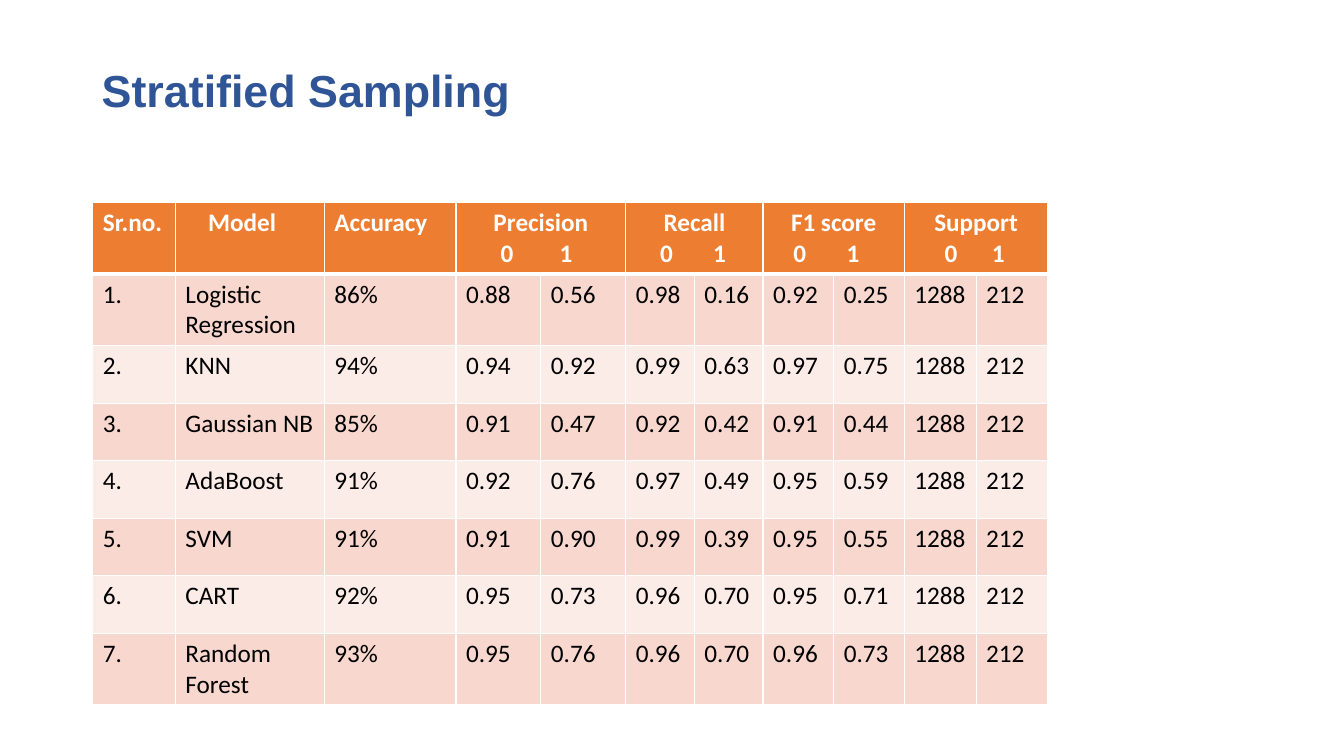
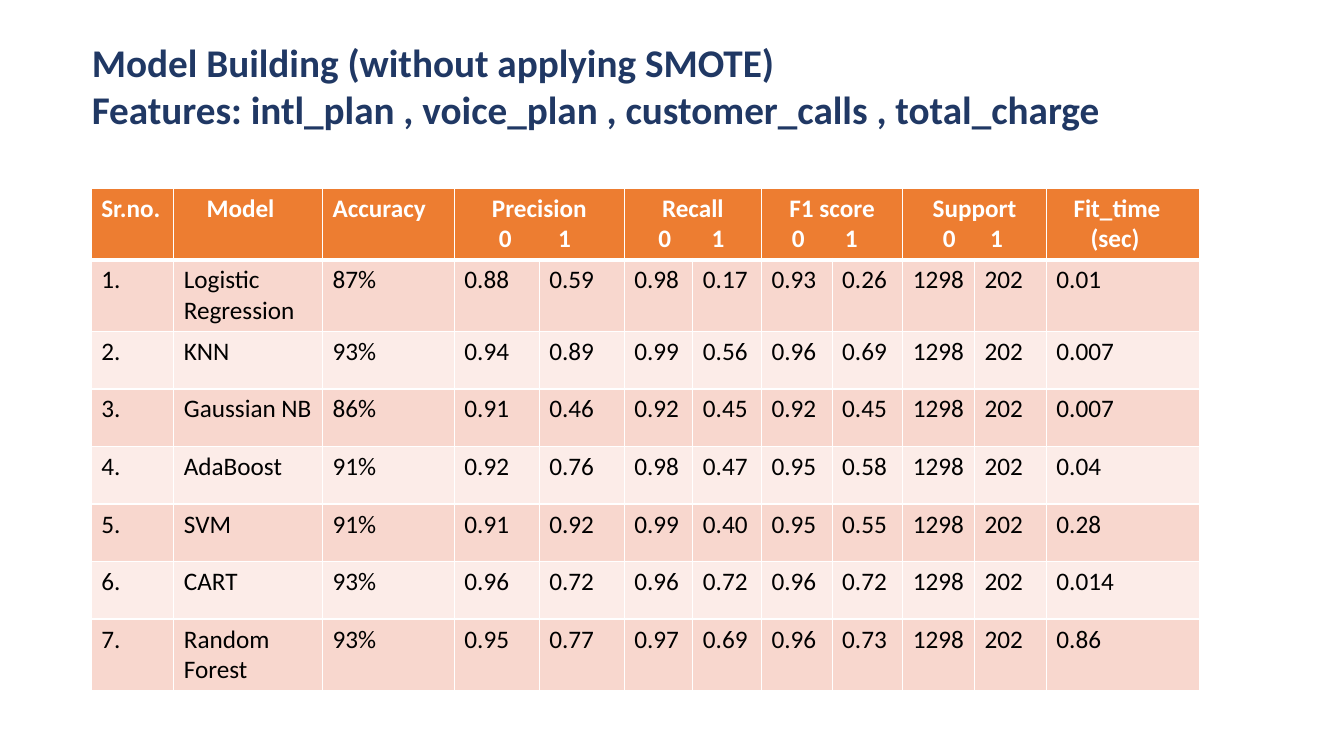
from lxml.etree import SubElement
from pptx import Presentation
from pptx.dml.color import RGBColor
from pptx.enum.text import MSO_ANCHOR, MSO_AUTO_SIZE, PP_ALIGN
from pptx.oxml.ns import qn
from pptx.util import Cm, Pt

COLORS = {
    "header": "ED7D31", "odd": "F8D7CE", "even": "FCECE8",
    "white": "FFFFFF", "black": "000000", "blue": "2F5597", "navy": "203864",
}
HEADER_FONT = {"name": "Calibri", "size": Pt(18), "bold": True}
BODY_FONT = {**HEADER_FONT, "bold": False}
TITLE_FRAME = {
    "word_wrap": True, "auto_size": MSO_AUTO_SIZE.NONE,
    "vertical_anchor": MSO_ANCHOR.TOP,
}

# Single headings: lines with their indents in cm, and the column width in cm.
SINGLE_HEADINGS = [
    ([("Sr.no.", 0)], 2.08),
    ([("Model", 0.57)], 3.75),
    ([("Accuracy", 0)], 3.32),
]
# Class headings: name, width of each class column, tab stops of "0" and "1" in cm.
CLASS_HEADINGS = [
    ("Precision", 2.14, (0.87, 2.36)),
    ("Recall", 1.73, (0.61, 1.95)),
    ("F1 score", 1.78, (0.51, 1.85)),
    ("Support", 1.81, (0.76, 1.95)),
]
FIT_TIME_HEADING = ([("Fit_time", 0.43), ("(sec)", 0.86)], 3.86)

MODELS = ["Logistic Regression", "KNN", "Gaussian NB", "AdaBoost", "SVM",
          "CART", "Random Forest"]

SLIDES = [
    {
        "title": "Stratified Sampling",
        "title_box": (2.31, 1.45, 17.86, 1.63),
        "title_font": {"name": "Arial", "size": Pt(32), "bold": True},
        "title_color": "blue",
        "table_at": (2.34, 5.1),
        "support": ["1288", "212"],
        "fit_times": [],
        "scores": [
            "86% 0.88 0.56 0.98 0.16 0.92 0.25",
            "94% 0.94 0.92 0.99 0.63 0.97 0.75",
            "85% 0.91 0.47 0.92 0.42 0.91 0.44",
            "91% 0.92 0.76 0.97 0.49 0.95 0.59",
            "91% 0.91 0.90 0.99 0.39 0.95 0.55",
            "92% 0.95 0.73 0.96 0.70 0.95 0.71",
            "93% 0.95 0.76 0.96 0.70 0.96 0.73",
        ],
    },
    {
        "title": "Model Building (without applying SMOTE)\n"
                 "Features: intl_plan , voice_plan , customer_calls , total_charge",
        "title_box": (2.06, 0.84, 26.34, 2.64),
        "title_font": {"name": "Calibri", "size": Pt(28), "bold": True},
        "title_color": "navy",
        "table_at": (2.3, 4.74),
        "support": ["1298", "202"],
        "fit_times": ["0.01", "0.007", "0.007", "0.04", "0.28", "0.014", "0.86"],
        "scores": [
            "87% 0.88 0.59 0.98 0.17 0.93 0.26",
            "93% 0.94 0.89 0.99 0.56 0.96 0.69",
            "86% 0.91 0.46 0.92 0.45 0.92 0.45",
            "91% 0.92 0.76 0.98 0.47 0.95 0.58",
            "91% 0.91 0.92 0.99 0.40 0.95 0.55",
            "93% 0.96 0.72 0.96 0.72 0.96 0.72",
            "93% 0.95 0.77 0.97 0.69 0.96 0.73",
        ],
    },
]


def set_all(target, values):
    for name, value in values.items():
        setattr(target, name, value)


def style_text(text_frame, font, color, align=PP_ALIGN.LEFT):
    for paragraph in text_frame.paragraphs:
        paragraph.alignment = align
        set_all(paragraph.font, font)
        paragraph.font.color.rgb = RGBColor.from_string(COLORS[color])


def set_tab_stops(paragraph, stops):
    tabs = SubElement(paragraph._p.get_or_add_pPr(), qn("a:tabLst"))
    # The tab list must come before the default run properties.
    tabs.getparent().insert(0, tabs)
    for stop in stops:
        SubElement(tabs, qn("a:tab"), pos=str(Cm(stop)), algn="l")


def style_cell(cell, fill, top, bottom):
    """Give a cell white borders, with top and bottom widths in points, and a fill."""
    properties = cell._tc.get_or_add_tcPr()
    for side, width in (("L", 1), ("R", 1), ("T", top), ("B", bottom)):
        line = SubElement(properties, qn(f"a:ln{side}"), w=str(Pt(width)))
        solid = SubElement(line, qn("a:solidFill"))
        SubElement(solid, qn("a:srgbClr"), val=COLORS["white"])
    cell.fill.solid()
    cell.fill.fore_color.rgb = RGBColor.from_string(COLORS[fill])


def fill_single_heading(cell, lines):
    cell.text = "\n".join(text for text, _ in lines)
    style_text(cell.text_frame, HEADER_FONT, "white")
    for paragraph, (_, indent) in zip(cell.text_frame.paragraphs, lines):
        paragraph._p.get_or_add_pPr().set("marL", str(Cm(indent)))


def fill_class_heading(cell, neighbour, name, stops):
    cell.merge(neighbour)
    cell.text = f"{name}\n\t0\t1"
    style_text(cell.text_frame, HEADER_FONT, "white", PP_ALIGN.CENTER)
    classes = cell.text_frame.paragraphs[1]
    classes.alignment = PP_ALIGN.LEFT
    set_tab_stops(classes, stops)


def add_title(slide, content):
    title = slide.shapes.title
    box = map(Cm, content["title_box"])
    set_all(title, dict(zip(("left", "top", "width", "height"), box)))
    title.text_frame.text = content["title"]
    set_all(title.text_frame, TITLE_FRAME)
    style_text(title.text_frame, content["title_font"], content["title_color"])


def add_score_table(slide, content):
    rows = [
        [f"{number}.", model, *scores.split(), *content["support"]]
        for number, (model, scores) in enumerate(zip(MODELS, content["scores"]), 1)
    ]
    for row, fit_time in zip(rows, content["fit_times"]):
        row.append(fit_time)

    widths = [width for _, width in SINGLE_HEADINGS]
    widths += [width for _, width, _ in CLASS_HEADINGS for _ in range(2)]
    if content["fit_times"]:
        widths.append(FIT_TIME_HEADING[1])
    heights = [1.5] + [1.45] * len(rows)

    table = slide.shapes.add_table(
        len(heights), len(widths), *map(Cm, content["table_at"]),
        Cm(sum(widths)), Cm(sum(heights))).table
    for column, width in zip(table.columns, widths):
        column.width = Cm(width)
    for row, height in zip(table.rows, heights):
        row.height = Cm(height)

    for column, (lines, _) in enumerate(SINGLE_HEADINGS):
        fill_single_heading(table.cell(0, column), lines)
    first_class = len(SINGLE_HEADINGS)
    for index, (name, _, stops) in enumerate(CLASS_HEADINGS):
        column = first_class + 2 * index
        fill_class_heading(table.cell(0, column), table.cell(0, column + 1), name, stops)
    if content["fit_times"]:
        fill_single_heading(table.cell(0, len(widths) - 1), FIT_TIME_HEADING[0])
    for column in range(len(widths)):
        style_cell(table.cell(0, column), "header", 1, 3)

    for number, row in enumerate(rows, 1):
        for column, value in enumerate(row):
            cell = table.cell(number, column)
            cell.text = value
            style_text(cell.text_frame, BODY_FONT, "black")
            style_cell(cell, "odd" if number % 2 else "even", 3 if number == 1 else 1, 1)


def main():
    presentation = Presentation()
    presentation.slide_width, presentation.slide_height = Cm(33.87), Cm(19.05)
    title_only = presentation.slide_layouts[5]
    for content in SLIDES:
        slide = presentation.slides.add_slide(title_only)
        add_title(slide, content)
        add_score_table(slide, content)
    presentation.save("out.pptx")


if __name__ == "__main__":
    main()
